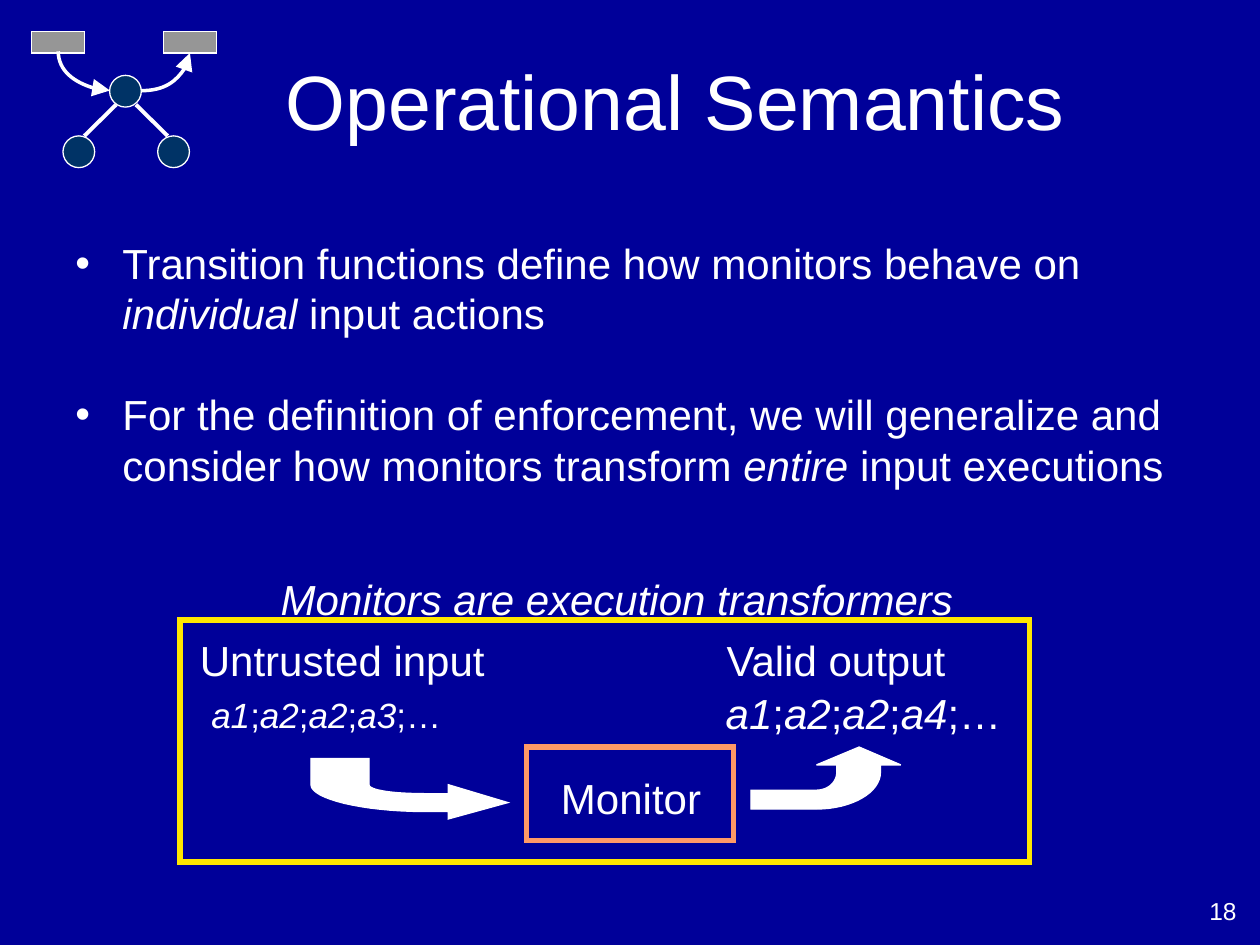
from dataclasses import dataclass
from lxml import etree
from pptx import Presentation
from pptx.dml.color import RGBColor
from pptx.enum.shapes import MSO_CONNECTOR, MSO_SHAPE
from pptx.enum.text import MSO_ANCHOR, PP_ALIGN
from pptx.oxml.ns import qn
from pptx.util import Cm, Pt


@dataclass(frozen=True)
class Theme:
    font: str = "Arial"
    background: RGBColor = RGBColor.from_string("000099")
    white: RGBColor = RGBColor.from_string("FFFFFF")
    node: RGBColor = RGBColor.from_string("003366")
    block: RGBColor = RGBColor.from_string("969696")
    frame: RGBColor = RGBColor.from_string("FFE701")
    monitor: RGBColor = RGBColor.from_string("FF9966")
    title: int = 44
    body: int = 24
    small: int = 20
    number: int = 14


theme = Theme()


def paint(shape, fill, line, width):
    shape.shadow.inherit = False
    if fill is None:
        shape.fill.background()
    else:
        shape.fill.solid()
        shape.fill.fore_color.rgb = fill
    shape.line.color.rgb = line
    shape.line.width = Pt(width)
    etree.SubElement(shape._element.spPr.find(qn("a:ln")), qn("a:miter"), lim="800000")


def write(paragraph, marked, size):
    for index, piece in enumerate(marked.split("*")):
        if piece:
            run = paragraph.add_run()
            run.text = piece
            run.font.name = theme.font
            run.font.size = Pt(size)
            run.font.color.rgb = theme.white
            run.font.italic = index % 2 == 1


prs = Presentation()
prs.slide_width, prs.slide_height = Cm(25.4), Cm(19.05)
slide = prs.slides.add_slide(prs.slide_layouts[6])
slide.background.fill.solid()
slide.background.fill.fore_color.rgb = theme.background
shapes = slide.shapes

for left, top in [(1.27, 2.74), (3.18, 2.74), (2.21, 1.52)]:
    node = shapes.add_shape(MSO_SHAPE.OVAL, Cm(left), Cm(top), Cm(0.64), Cm(0.64))
    paint(node, theme.node, theme.white, 0.75)

for left in (0.64, 3.3):
    block = shapes.add_shape(MSO_SHAPE.RECTANGLE, Cm(left), Cm(0.64), Cm(1.07), Cm(0.43))
    paint(block, theme.block, theme.white, 0.75)

links = [
    (MSO_CONNECTOR.STRAIGHT, (1.7, 2.74, 2.34, 2.11), 2.25, 0),
    (MSO_CONNECTOR.STRAIGHT, (2.74, 2.11, 3.38, 2.74), 2.25, 0),
    (MSO_CONNECTOR.CURVE, (2.09, 0.91, 1.3, 1.95), 2, 270),
    (MSO_CONNECTOR.CURVE, (2.84, 1.83, 3.83, 1.07), 2, 0),
]
for kind, ends, width, angle in links:
    link = shapes.add_connector(kind, *map(Cm, ends))
    link.line.color.rgb = theme.white
    link.line.width = Pt(width)
    properties = link._element.spPr
    if kind == MSO_CONNECTOR.CURVE:
        properties.find(qn("a:prstGeom")).set("prst", "curvedConnector2")
        properties.find(qn("a:xfrm")).set("rot", str(angle * 60000))
        stroke = properties.find(qn("a:ln"))
        etree.SubElement(stroke, qn("a:tailEnd"), type="triangle", w="lg", len="lg")
    etree.SubElement(properties, qn("a:effectLst"))

frames = [
    (3.63, 12.5, 17.12, 4.88, theme.frame),
    (10.62, 15.06, 4.17, 1.88, theme.monitor),
]
for left, top, width, height, color in frames:
    frame = shapes.add_shape(MSO_SHAPE.RECTANGLE, Cm(left), Cm(top), Cm(width), Cm(height))
    paint(frame, None, color, 3)

input_arrow = [
    (6.27, 15.29), (6.27, 15.82), (6.27, 16.1, 7.29, 16.36, 8.56, 16.36),
    (9.04, 16.36), (9.04, 16.51), (10.24, 16.18), (9.04, 15.82), (9.04, 16),
    (8.56, 16), (7.92, 16, 7.44, 15.93, 7.44, 15.82), (7.44, 15.29),
]
output_arrow = [
    (15.14, 16.31), (16.46, 16.31), (17.17, 16.31, 17.75, 15.98, 17.75, 15.57),
    (17.75, 15.42), (18.16, 15.42), (17.32, 15.06), (16.46, 15.42), (16.87, 15.42),
    (16.87, 15.57), (16.87, 15.77, 16.69, 15.93, 16.46, 15.93), (15.14, 15.93),
]
curve_steps = 16
for route in (input_arrow, output_arrow):
    points = [route[0]]
    for step in route[1:]:
        if len(step) == 2:
            points.append(step)
            continue
        (x0, y0), (x1, y1, x2, y2, x3, y3) = points[-1], step
        for index in range(1, curve_steps + 1):
            t = index / curve_steps
            a, b, c, d = (1 - t) ** 3, 3 * t * (1 - t) ** 2, 3 * t**2 * (1 - t), t**3
            points.append((a * x0 + b * x1 + c * x2 + d * x3, a * y0 + b * y1 + c * y2 + d * y3))
    corners = [(Cm(x), Cm(y)) for x, y in points]
    outline = shapes.build_freeform(*corners[0])
    outline.add_line_segments(corners[1:], close=True)
    paint(outline.convert_to_shape(), theme.white, theme.white, 0.75)

title = shapes.add_textbox(Cm(5.51), Cm(0.43), Cm(19.05), Cm(3.18)).text_frame
title.word_wrap = True
title.vertical_anchor = MSO_ANCHOR.MIDDLE
write(title.paragraphs[0], "Operational Semantics", theme.title)

points_text = [
    ("Transition functions define how monitors behave on *individual* input actions", 6),
    ("For the definition of enforcement, we will generalize and consider how "
     "monitors transform *entire* input executions", 29),
]
body = shapes.add_textbox(Cm(1.27), Cm(4.66), Cm(22.86), Cm(7.82)).text_frame
body.word_wrap = True
for index, (sentence, gap) in enumerate(points_text):
    point = body.add_paragraph() if index else body.paragraphs[0]
    write(point, sentence, theme.body)
    point.space_before = Pt(gap)
    layout = point._p.get_or_add_pPr()
    layout.set("marL", str(Cm(0.95)))
    layout.set("indent", str(-Cm(0.95)))
    etree.SubElement(layout, qn("a:buFont"), typeface=theme.font)
    etree.SubElement(layout, qn("a:buChar"), char="•")

labels = [
    ("*a1*;*a2*;*a2*;*a3*;…", 4.01, 13.85, 5.6, 1.12, theme.small),
    ("*a1*;*a2*;*a2*;*a4*;…", 14.38, 13.73, 6.3, 1.27, theme.body),
    ("Untrusted input", 3.78, 12.67, 6.6, 1.27, theme.body),
    ("Valid output", 14.4, 12.67, 5.4, 1.27, theme.body),
    ("Monitor", 11.06, 15.44, 3.6, 1.27, theme.body),
    ("*Monitors are execution transformers*", 5.41, 11.43, 14.6, 1.27, theme.body),
]
for wording, left, top, width, height, size in labels:
    label = shapes.add_textbox(Cm(left), Cm(top), Cm(width), Cm(height)).text_frame
    label.word_wrap = True
    write(label.paragraphs[0], wording, size)
label.paragraphs[0].space_before = Pt(6)

page = shapes.add_textbox(Cm(19.26), Cm(17.93), Cm(5.92), Cm(1.32)).text_frame
page.word_wrap = True
page.paragraphs[0].alignment = PP_ALIGN.RIGHT
write(page.paragraphs[0], "18", theme.number)

prs.save("out.pptx")
